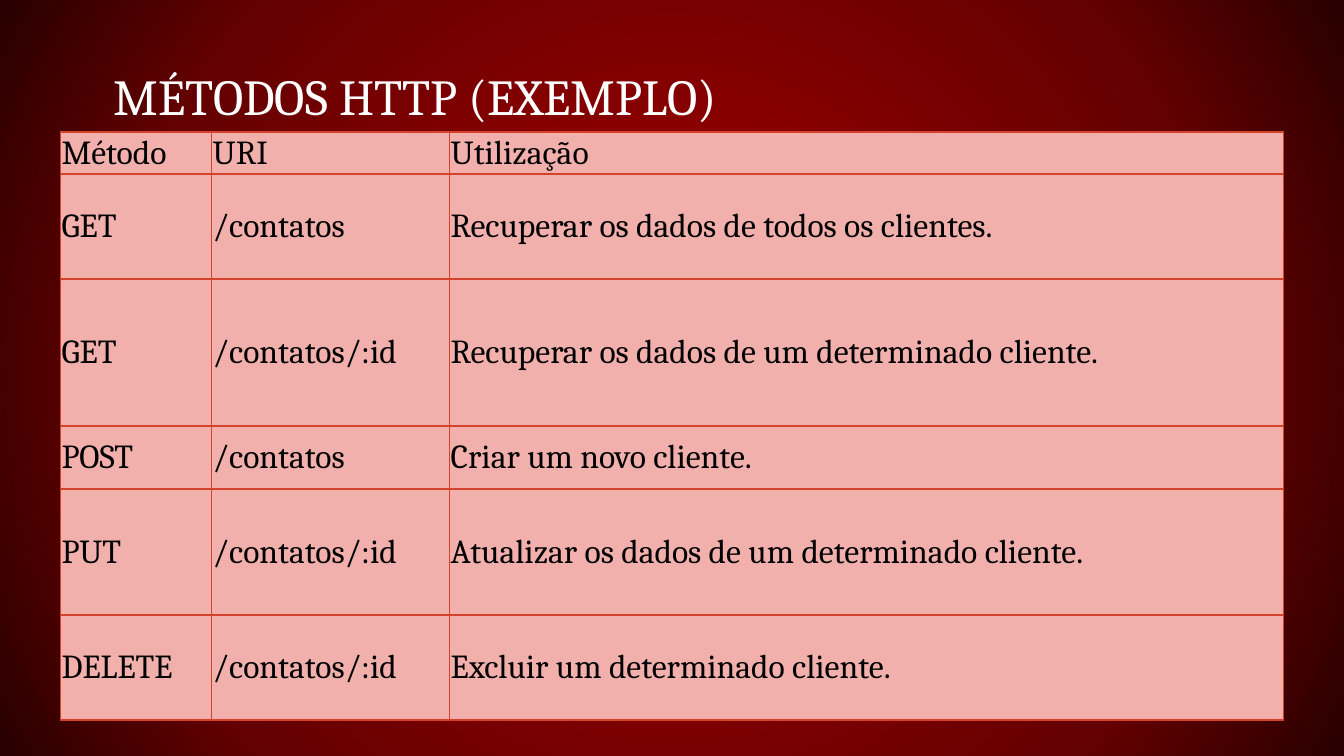
from dataclasses import dataclass

from lxml.etree import SubElement
from pptx import Presentation
from pptx.dml.color import RGBColor
from pptx.enum.text import MSO_ANCHOR, PP_ALIGN
from pptx.oxml import parse_xml
from pptx.oxml.ns import nsdecls, qn
from pptx.util import Pt

TITLE = "MÉTODOS HTTP (EXEMPLO)"
# row height in units, then the cells
ROWS = [
    (2, "Método", "URI", "Utilização"),
    (5, "GET", "/contatos", "Recuperar os dados de todos os clientes."),
    (7, "GET", "/contatos/:id", "Recuperar os dados de um determinado cliente."),
    (3, "POST", "/contatos", "Criar um novo cliente."),
    (6, "PUT", "/contatos/:id", "Atualizar os dados de um determinado cliente."),
    (5, "DELETE", "/contatos/:id", "Excluir um determinado cliente."),
]
UNIT = 15
COLS = (108, 170, 595.5)
LEFT, TOP = 43.2, 94.3


@dataclass(frozen=True)
class Theme:
    """Colours, font and type sizes of the slide."""
    font: str = "Cambria"
    head: int = 36
    body: int = 24
    light: str = "FFFFFF"
    dark: str = "000000"
    cell: str = "F2B0AC"
    rule: str = "D3432B"
    glow: tuple = ((17, "960000"), (71, "650000"), (100, "290000"))


THEME = Theme()


def paint(slide):
    """Fill the background with a round gradient."""
    slide.background.fill.gradient()
    grad = next(slide.element.iter(qn("a:gradFill")))
    stops = "".join(
        f'<a:gs pos="{pos * 1000}"><a:srgbClr val="{tone}"/></a:gs>'
        for pos, tone in THEME.glow)
    grad.getparent().replace(grad, parse_xml(
        f'<a:gradFill {nsdecls("a")} rotWithShape="1"><a:gsLst>{stops}</a:gsLst>'
        '<a:path path="circle"><a:fillToRect l="50000" t="50000" r="50000"'
        ' b="50000"/></a:path></a:gradFill>'))


def write(frame, text, size, tone):
    """Put one left-aligned run in a text frame."""
    para = frame.paragraphs[0]
    para.alignment = PP_ALIGN.LEFT
    run = para.add_run()
    run.text = text
    run.font.name = THEME.font
    run.font.size = Pt(size)
    run.font.bold = False
    run.font.color.rgb = RGBColor.from_string(tone)
    return para


def edge(cell):
    """Draw a thin rule on all four sides of a cell."""
    props = cell._tc.get_or_add_tcPr()
    for spot, side in enumerate("LRTB"):
        line = SubElement(props, qn(f"a:ln{side}"), w=str(Pt(1)))
        fill = SubElement(line, qn("a:solidFill"))
        SubElement(fill, qn("a:srgbClr"), val=THEME.rule)
        props.insert(spot, line)


def add_title(slide):
    """Place and format the title."""
    title = slide.shapes.title
    title.left, title.top = Pt(72), Pt(38.2)
    title.width, title.height = Pt(816), Pt(56)
    frame = title.text_frame
    frame.word_wrap = True
    frame.vertical_anchor = MSO_ANCHOR.BOTTOM
    frame.margin_left = frame.margin_right = Pt(9.4)
    frame.margin_top = frame.margin_bottom = Pt(5)
    write(frame, TITLE, THEME.head, THEME.light).line_spacing = 0.8


def add_grid(slide):
    """Build the table of methods."""
    high = UNIT * sum(row[0] for row in ROWS)
    grid = slide.shapes.add_table(
        len(ROWS), len(COLS), Pt(LEFT), Pt(TOP), Pt(sum(COLS)), Pt(high)).table
    grid.first_row = grid.horz_banding = False
    for col, wide in zip(grid.columns, COLS):
        col.width = Pt(wide)
    for row, (units, *texts) in zip(grid.rows, ROWS):
        row.height = Pt(units * UNIT)
        for cell, text in zip(row.cells, texts):
            cell.margin_left = cell.margin_right = cell.margin_top = Pt(0.75)
            cell.margin_bottom = 0
            cell.vertical_anchor = MSO_ANCHOR.MIDDLE
            cell.fill.solid()
            cell.fill.fore_color.rgb = RGBColor.from_string(THEME.cell)
            edge(cell)
            write(cell.text_frame, text, THEME.body, THEME.dark)


deck = Presentation()
deck.slide_width, deck.slide_height = Pt(960), Pt(540)
slide = deck.slides.add_slide(deck.slide_layouts[5])
paint(slide)
add_title(slide)
add_grid(slide)
deck.save("out.pptx")
